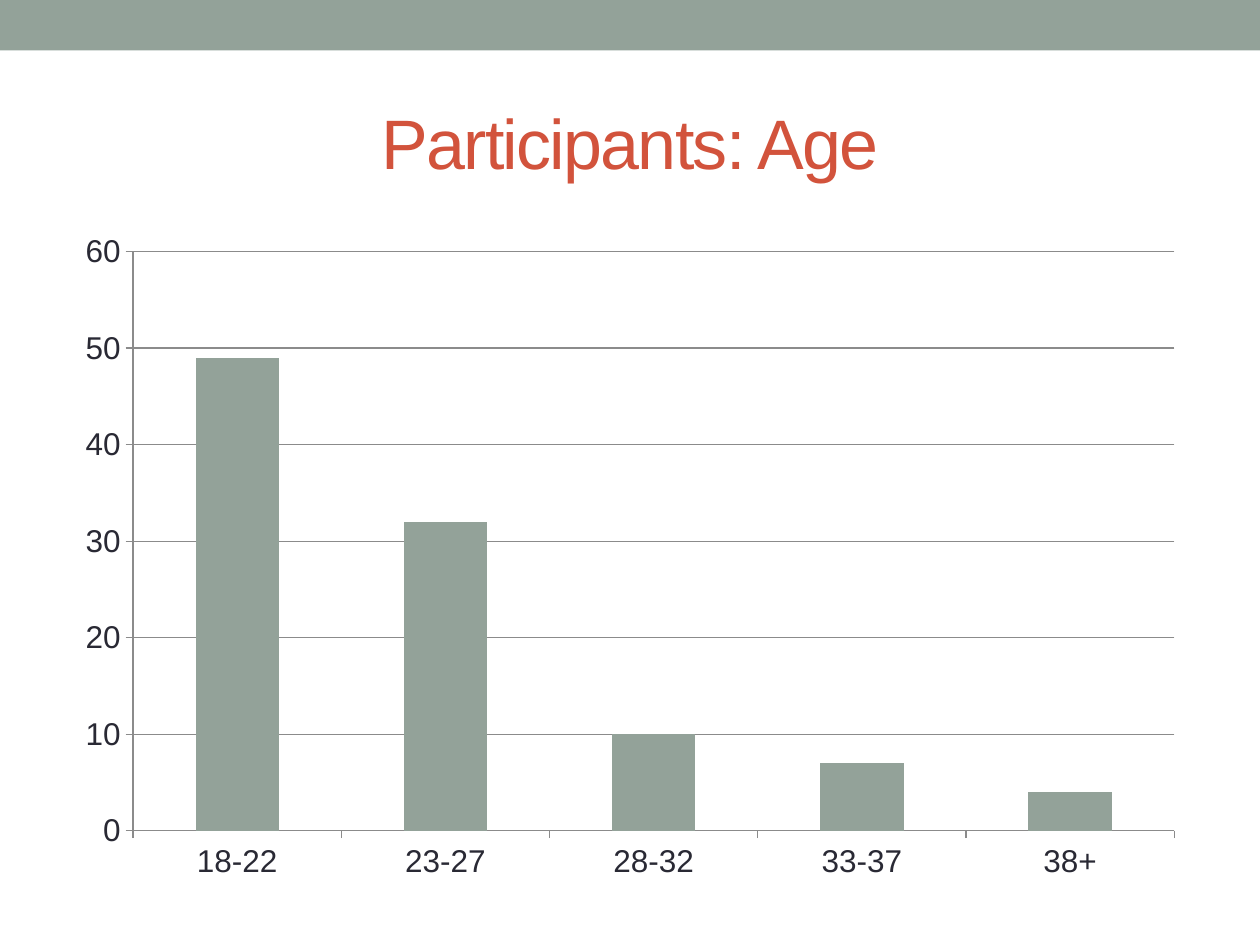
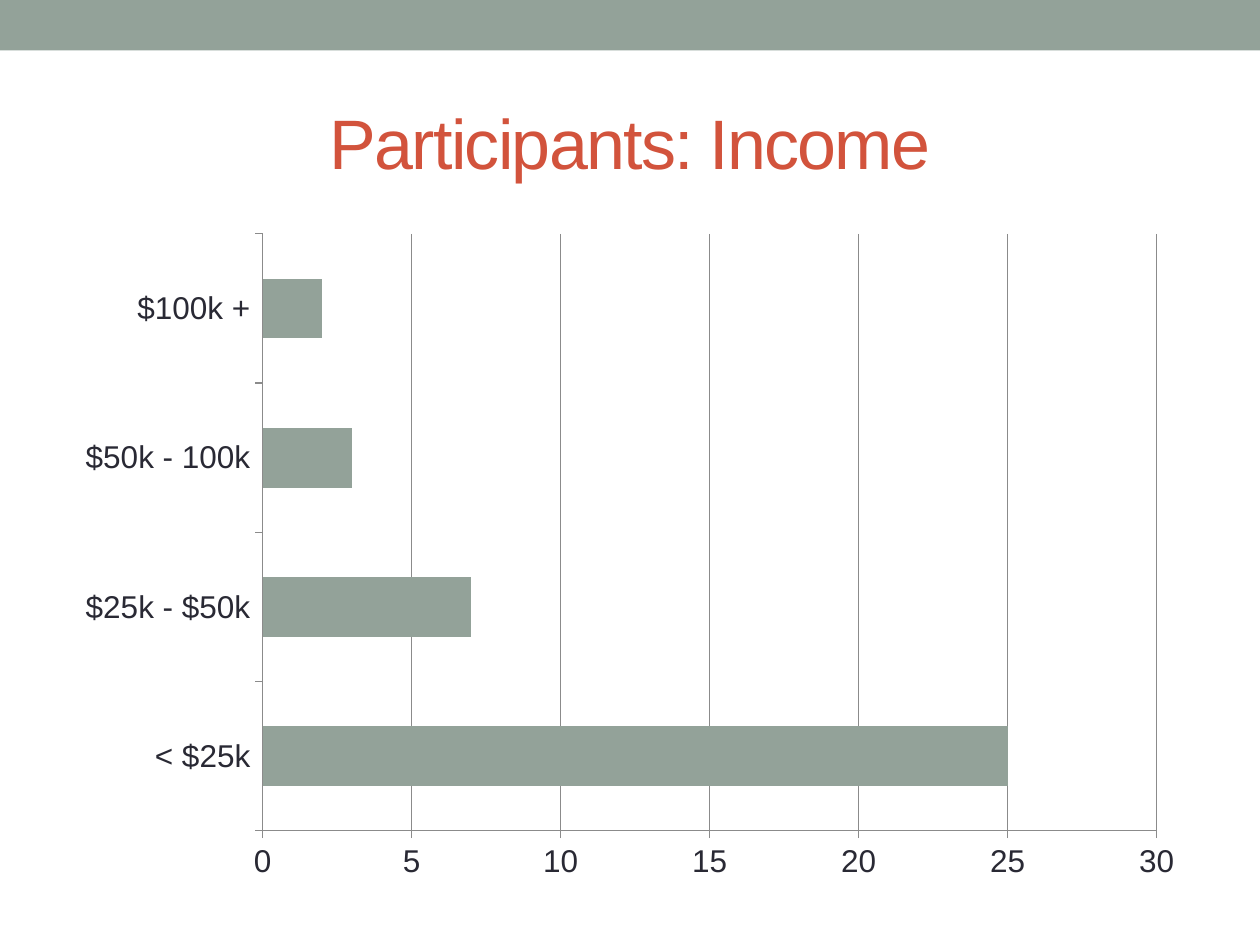
"""Builds two slides that chart the age and income of the participants."""
from pptx import Presentation
from pptx.chart.data import CategoryChartData
from pptx.dml.color import RGBColor
from pptx.enum.chart import XL_CHART_TYPE, XL_TICK_MARK
from pptx.enum.shapes import MSO_SHAPE
from pptx.enum.text import MSO_ANCHOR, MSO_AUTO_SIZE, PP_ALIGN
from pptx.util import Inches, Pt

SAGE = RGBColor(0x93, 0xA2, 0x99)
RUST = RGBColor(0xD2, 0x53, 0x3C)
INK = RGBColor(0x29, 0x29, 0x34)
GRAY = RGBColor(0x8B, 0x8B, 0x8B)
FONT = "Arial"
RECTANGLE = MSO_SHAPE.RECTANGLE
MIDDLE = MSO_ANCHOR.MIDDLE
NO_AUTOFIT = MSO_AUTO_SIZE.NONE
CENTER = PP_ALIGN.CENTER
OUTSIDE = XL_TICK_MARK.OUTSIDE
STACKED_COLUMNS = XL_CHART_TYPE.COLUMN_STACKED
CLUSTERED_BARS = XL_CHART_TYPE.BAR_CLUSTERED
TITLE_ONLY = 5

CHARTS = [
    ("Participants: Age", STACKED_COLUMNS, 60, 10,
     {"18-22": 49, "23-27": 32, "28-32": 10, "33-37": 7, "38+": 4}),
    ("Participants: Income", CLUSTERED_BARS, 30, 5,
     {"< $25k": 25, "$25k - $50k": 7, "$50k - 100k": 3, "$100k +": 2}),
]

prs = Presentation()
prs.slide_width, prs.slide_height = Inches(10), Inches(7.5)
margin = Inches(0.5)
content_width = prs.slide_width - 2 * margin

for title, chart_type, maximum, step, counts in CHARTS:
    slide = prs.slides.add_slide(prs.slide_layouts[TITLE_ONLY])

    band = slide.shapes.add_shape(RECTANGLE, 0, 0, prs.slide_width, Inches(0.4))
    band.shadow.inherit = False
    band.fill.solid()
    band.fill.fore_color.rgb = SAGE
    band.line.fill.background()

    sp = slide.shapes.title
    sp.left, sp.top = margin, Inches(0.58)
    sp.width, sp.height = content_width, Inches(1.08)
    tf = sp.text_frame
    tf.text = title
    tf.word_wrap = True
    tf.auto_size = NO_AUTOFIT
    tf.vertical_anchor = MIDDLE
    p = tf.paragraphs[0]
    p.alignment = CENTER
    p.font.name = FONT
    p.font.size = Pt(40)
    p.font.color.rgb = RUST
    p.runs[0].font._element.set("spc", "-100")

    data = CategoryChartData()
    data.categories = list(counts)
    data.add_series("Series 1", list(counts.values()))
    chart = slide.shapes.add_chart(
        chart_type, margin, Inches(1.75), content_width, Inches(5.33), data).chart
    chart.has_legend = False
    chart.has_title = False
    chart.font.name = FONT
    chart.font.size = Pt(18)
    chart.font.color.rgb = INK

    plot = chart.plots[0]
    plot.vary_by_categories = False
    plot.gap_width = 150
    fill = plot.series[0].format.fill
    fill.solid()
    fill.fore_color.rgb = SAGE

    for axis in (chart.category_axis, chart.value_axis):
        axis.major_tick_mark = OUTSIDE
        axis.format.line.color.rgb = GRAY
        axis.format.line.width = Pt(0.75)
    chart.category_axis.has_major_gridlines = False
    value_axis = chart.value_axis
    value_axis.minimum_scale, value_axis.maximum_scale = 0, maximum
    value_axis.major_unit = step
    value_axis.has_major_gridlines = True
    value_axis.major_gridlines.format.line.color.rgb = GRAY
    value_axis.major_gridlines.format.line.width = Pt(0.75)

prs.save("out.pptx")
